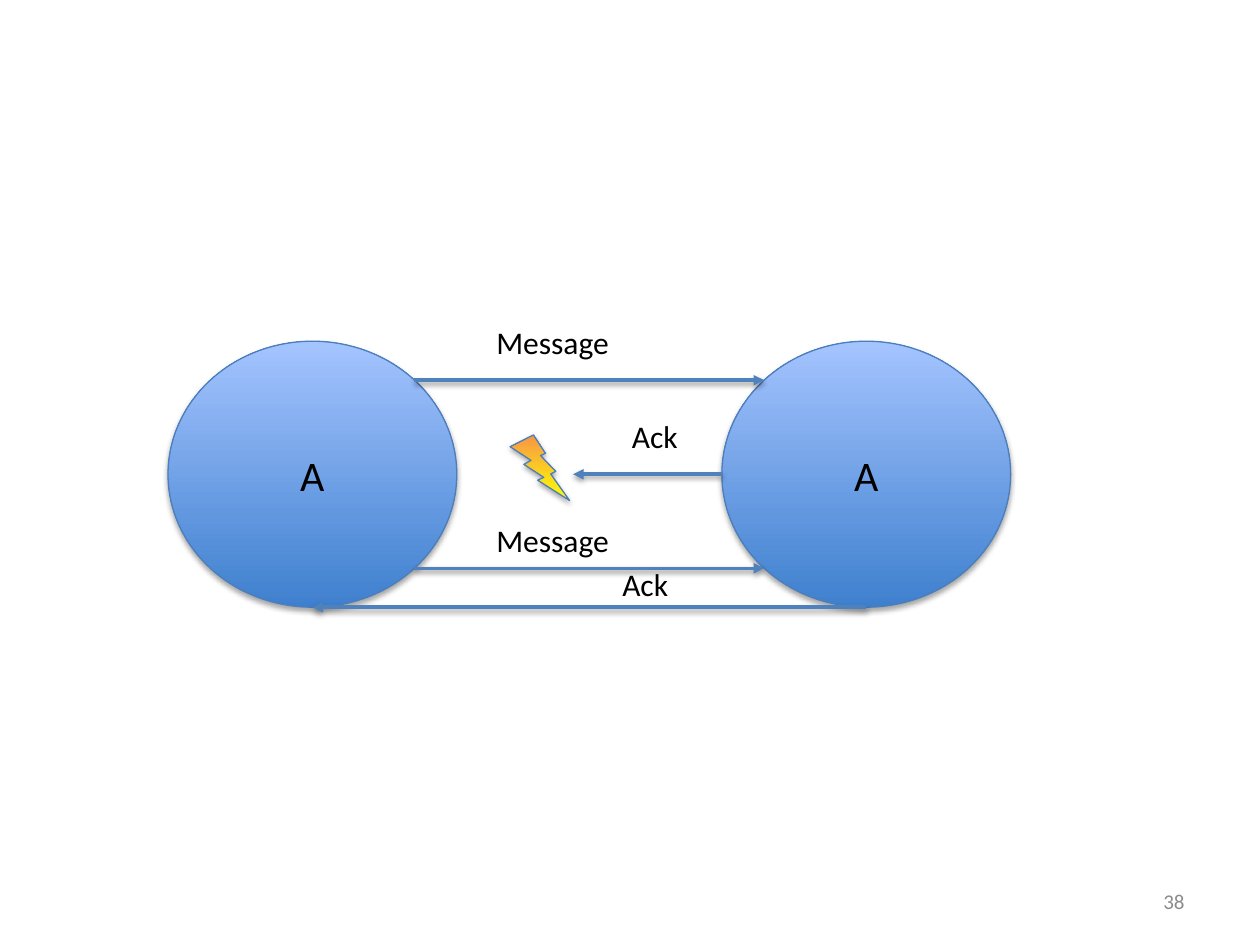
from math import sqrt

from pptx import Presentation
from pptx import util as u
from pptx.dml.color import RGBColor
from pptx.enum import shapes, text
from pptx.oxml import parse_xml
from pptx.oxml.ns import nsdecls

NODE_W, NODE_H, NODE_TOP = 165, 152, 195
LEFT_X, RIGHT_X = 96, 412.5


def rgb(value):
    """Return the colour for a hex string."""
    return RGBColor.from_string(value)


def set_attrs(obj, values):
    """Set each named attribute on an object."""
    for name, value in values.items():
        setattr(obj, name, value)


def add_shadow(sp, dist, alpha):
    """Give a shape or connector a soft shadow below it."""
    sp._element.spPr.append(parse_xml(
        f'<a:effectLst {nsdecls("a")}><a:outerShdw blurRad="{u.Pt(3.1)}" dist="{u.Pt(dist)}" '
        f'dir="5400000" rotWithShape="0"><a:srgbClr val="000000">'
        f'<a:alpha val="{alpha * 1000}"/></a:srgbClr></a:outerShdw></a:effectLst>'))


def write(sp, words, size, color="000000", align=text.PP_ALIGN.LEFT, **frame):
    """Write one formatted paragraph into a shape."""
    tf = sp.text_frame
    set_attrs(tf, frame)
    p = tf.paragraphs[0]
    p.alignment = align
    r = p.add_run()
    r.text = words
    set_attrs(r.font, {"name": "Calibri", "size": u.Pt(size)})
    r.font.color.rgb = rgb(color)


def add_label(s, words, box, size=18, **fmt):
    """Add a text box."""
    sp = s.shapes.add_textbox(*map(u.Pt, box))
    write(sp, words, size, **fmt)


def add_solid(s, kind, box, bottom, top):
    """Add an outlined shape with a vertical gradient and a shadow."""
    sp = s.shapes.add_shape(kind, *map(u.Pt, box))
    sp.fill.gradient()
    sp.fill.gradient_angle = 90
    for stop, color, position in zip(sp.fill.gradient_stops, (bottom, top), (0, 1)):
        stop.color.rgb = rgb(color)
        stop.position = position
    sp.line.color.rgb = rgb("4B7EBC")
    sp.line.width = u.Pt(0.75)
    add_shadow(sp, 1.8, 35)
    return sp


def add_node(s, x, name):
    """Add a named process circle."""
    sp = add_solid(s, shapes.MSO_SHAPE.OVAL, (x, NODE_TOP, NODE_W, NODE_H), "3F80CE", "A4C4FF")
    write(sp, name, 24, align=text.PP_ALIGN.CENTER, vertical_anchor=text.MSO_ANCHOR.MIDDLE)


def add_arrow(s, x1, x2, y):
    """Add a horizontal arrow from x1 to x2."""
    sp = s.shapes.add_connector(shapes.MSO_CONNECTOR.STRAIGHT, *map(u.Pt, (x1, y, x2, y)))
    sp.line.color.rgb = rgb("4F81BD")
    sp.line.width = u.Pt(2)
    sp.line._ln.append(parse_xml(f'<a:tailEnd {nsdecls("a")} type="triangle"/>'))
    add_shadow(sp, 1.6, 38)


def main():
    """Build the message and acknowledgement slide."""
    prs = Presentation()
    set_attrs(prs, {"slide_width": u.Pt(720), "slide_height": u.Pt(540)})
    s = prs.slides.add_slide(prs.slide_layouts[6])

    add_label(s, "38", (516, 500.5, 168, 28.75), 12, color="8C8C8C", align=text.PP_ALIGN.RIGHT,
              vertical_anchor=text.MSO_ANCHOR.MIDDLE, word_wrap=True)
    for x in (LEFT_X, RIGHT_X):
        add_node(s, x, "A")

    rx, ry = NODE_W / 2, NODE_H / 2
    left_cx, right_cx, mid_y = LEFT_X + rx, RIGHT_X + rx, NODE_TOP + ry
    dx, dy = rx / sqrt(2), ry / sqrt(2)
    for x1, x2, y in ((left_cx + dx, right_cx - dx, mid_y - dy),
                      (RIGHT_X, 327.5, mid_y),
                      (left_cx + dx, right_cx - dx, mid_y + dy),
                      (right_cx, left_cx, mid_y + ry)):
        add_arrow(s, x1, x2, y)

    for words, x, y, w in (("Message", 276.5, 181, 120), ("Message", 276.5, 294, 120),
                           ("Ack", 354, 234.5, 42.5), ("Ack", 348.5, 319.5, 42.5)):
        add_label(s, words, (x, y, w, 29), word_wrap=False)
    add_solid(s, shapes.MSO_SHAPE.LIGHTNING_BOLT, (291.5, 248.5, 34, 37.5), "FFFF00", "F79646")

    prs.save("out.pptx")


if __name__ == "__main__":
    main()
